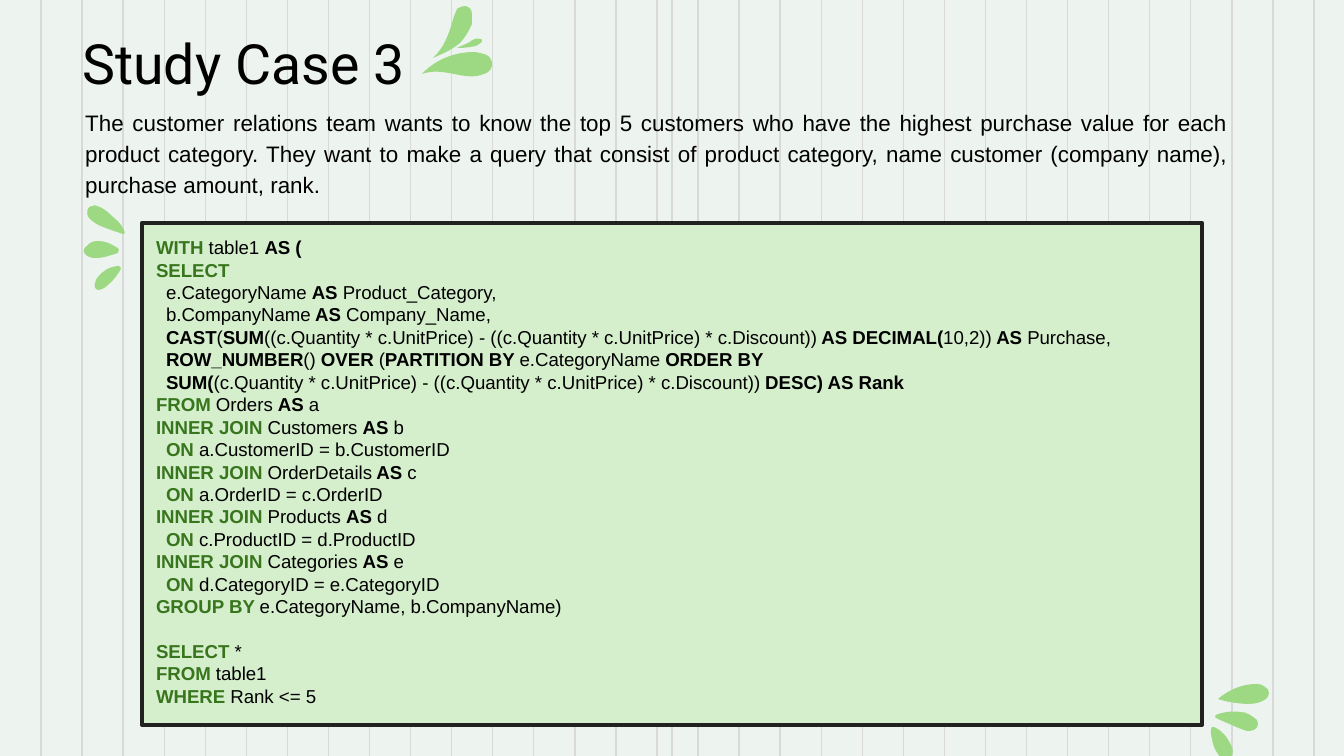
import pptx
import pptx.util
import pptx.dml.color
import pptx.enum.shapes
import pptx.enum.text
import pptx.oxml.ns
import lxml.etree

WIDTH, HEIGHT = 1344, 756
SCALE = 914400 / 134.4
LEAF, GREEN, BLACK = "9DD983", "38761D", "000000"

BRIEF = (
    "The customer relations team wants to know the top 5 customers who have "
    "the highest purchase value for each product category. They want to make "
    "a query that consist of product category, name customer (company name), "
    "purchase amount, rank."
)

# Bars enclose bold text; two leading spaces mark an indented line.
QUERY = """|WITH |table1 |AS (|
|SELECT|
  e.CategoryName |AS |Product_Category,
  b.CompanyName| AS |Company_Name,
  |CAST|(|SUM|((c.Quantity * c.UnitPrice) - ((c.Quantity * c.UnitPrice) * c.Discount))| AS DECIMAL(|10,2))| AS |Purchase,
  |ROW_NUMBER|() |OVER |(|PARTITION BY |e.CategoryName| ORDER BY|
  |SUM(|(c.Quantity * c.UnitPrice) - ((c.Quantity * c.UnitPrice) * c.Discount))| DESC) AS Rank|
|FROM |Orders |AS |a
|INNER JOIN |Customers |AS |b
  |ON |a.CustomerID = b.CustomerID
|INNER JOIN |OrderDetails| AS |c
  |ON |a.OrderID = c.OrderID
|INNER JOIN |Products |AS |d
  |ON |c.ProductID = d.ProductID
|INNER JOIN |Categories |AS |e
  |ON |d.CategoryID = e.CategoryID
|GROUP BY |e.CategoryName, b.CompanyName)"""
FINAL = """|SELECT| *
|FROM |table1
|WHERE |Rank <= 5"""
CLAUSES = {"WITH", "SELECT", "FROM", "INNER JOIN", "ON", "GROUP BY", "WHERE"}

# Each petal is a start point, then two controls and an end for each curve.
TOP = [
    [(492, 66), (493, 62), (491, 58), (487, 55), (484, 54), (478, 52), (474, 52),
     (454, 52), (435, 60), (422, 74), (444, 66), (465, 82), (484, 74),
     (488, 73), (491, 70), (492, 66)],
    [(472, 24), (472, 22), (472, 19), (472, 17), (472, 13), (472, 9), (468, 7),
     (465, 5), (460, 7), (457, 9), (456, 12), (454, 16), (453, 20),
     (449, 34), (444, 48), (433, 58), (442, 54), (452, 50), (460, 43),
     (465, 38), (469, 31), (472, 24)],
    [(482, 42), (482, 40), (482, 39), (481, 39), (476, 38), (473, 39), (470, 42),
     (466, 44), (461, 46), (457, 48), (466, 48), (470, 47), (476, 46),
     (478, 44), (481, 44), (482, 42)],
]
RIGHT = [
    [(1257, 684), (1243, 684), (1230, 689), (1218, 699), (1223, 701), (1237, 704),
     (1249, 704), (1256, 704), (1262, 702), (1266, 699), (1270, 696), (1270, 689),
     (1265, 687), (1263, 685), (1260, 684), (1257, 684)],
    [(1240, 712), (1231, 711), (1224, 712), (1216, 715), (1214, 716), (1215, 718),
     (1218, 719), (1224, 722), (1230, 724), (1236, 727), (1239, 728), (1243, 730),
     (1247, 731), (1250, 731), (1252, 731), (1254, 730), (1258, 728), (1259, 724),
     (1257, 720), (1252, 716), (1247, 712), (1240, 712)],
    [(1212, 727), (1210, 729), (1211, 735), (1212, 739), (1213, 745), (1215, 750),
     (1218, 754), (1220, 757), (1221, 759), (1223, 759), (1228, 761), (1231, 759),
     (1232, 755), (1234, 751), (1232, 747), (1230, 743), (1227, 737), (1222, 731),
     (1216, 728), (1215, 727), (1213, 727), (1212, 727)],
]
LEFT = [
    [(93, 206), (88, 205), (85, 212), (89, 218), (92, 221), (97, 225), (103, 227),
     (108, 229), (114, 231), (120, 233), (124, 235), (126, 234), (124, 230),
     (121, 224), (118, 221), (114, 218), (109, 213), (104, 208), (97, 206),
     (96, 205), (94, 205), (93, 206)],
    [(98, 241), (94, 241), (90, 242), (87, 246), (84, 247), (82, 252), (86, 255),
     (90, 258), (93, 258), (97, 258), (104, 258), (111, 255), (118, 253),
     (120, 251), (119, 248), (116, 247), (110, 243), (104, 241), (98, 241)],
    [(118, 266), (109, 267), (103, 271), (98, 277), (97, 278), (95, 281), (95, 284),
     (94, 286), (95, 290), (99, 290), (103, 289), (105, 288), (108, 285),
     (113, 281), (117, 276), (121, 269), (121, 267), (120, 266), (118, 266)],
]


def px(n):
    return round(n * SCALE)


def tint(code):
    return pptx.dml.color.RGBColor.from_string(code)


def style(run, size, face="Arial", color=BLACK, bold=False):
    font = run.font
    font.size, font.name, font.bold = pptx.util.Pt(size), face, bold
    font.color.rgb = tint(color)


def rule(slide, x):
    """Draw a full-height line and move it to the master's backdrop."""
    line = slide.shapes.add_connector(
        pptx.enum.shapes.MSO_CONNECTOR.STRAIGHT, px(x), 0, px(x), px(HEIGHT))
    line.line.color.rgb = tint("D9D9D9")
    line.line.width = pptx.util.Pt(0.75)
    lxml.etree.SubElement(line._element.spPr, pptx.oxml.ns.qn("a:effectLst"))
    master = slide.slide_layout.slide_master
    line._element.nvCxnSpPr.cNvPr.set("id", str(100 + len(master.shapes)))
    master.shapes._spTree.append(line._element)


def frame(shape):
    """Prepare a shape's text frame with wrapping and even insets."""
    text = shape.text_frame
    text.word_wrap = True
    text.vertical_anchor = pptx.enum.text.MSO_ANCHOR.TOP
    text.margin_left = text.margin_right = pptx.util.Inches(0.1)
    text.margin_top = text.margin_bottom = pptx.util.Inches(0.1)
    return text


def label(slide, box, words, size, face):
    text = frame(slide.shapes.add_textbox(*map(px, box)))
    text.text = words
    para = text.paragraphs[0]
    style(para.runs[0], size, face)
    return para


def bend(shape):
    """Turn every three line segments of an outline into one cubic curve."""
    tag = pptx.oxml.ns.qn
    lines = list(shape._element.iter(tag("a:lnTo")))
    for i in range(0, len(lines), 3):
        cubic = lxml.etree.Element(tag("a:cubicBezTo"))
        lines[i].addprevious(cubic)
        for line in lines[i:i + 3]:
            cubic.append(line[0])
            line.getparent().remove(line)


def petal(slide, nodes):
    outline = [(px(x), px(y)) for x, y in nodes]
    pen = slide.shapes.build_freeform(*outline[0])
    pen.add_line_segments(outline[1:-1], close=False)
    pen.add_line_segments(outline[-1:], close=False)
    pen.add_line_segments([], close=True)
    leaf = pen.convert_to_shape()
    bend(leaf)
    leaf.shadow.inherit = False
    leaf.fill.solid()
    leaf.fill.fore_color.rgb = tint(LEAF)
    leaf.line.fill.background()


def write(para, line):
    """Set one query line, with keywords bold and clauses green."""
    para.alignment = pptx.enum.text.PP_ALIGN.LEFT
    if line.startswith("  "):
        para._p.get_or_add_pPr().set("marL", str(px(10)))
    for i, part in enumerate(line.strip().split("|")):
        if part:
            run = para.add_run()
            run.text = part
            clause = i == 1 and part.strip() in CLAUSES
            style(run, 10, color=GREEN if clause else BLACK, bold=i % 2 == 1)


def panel(slide, box):
    rect = slide.shapes.add_shape(
        pptx.enum.shapes.MSO_SHAPE.RECTANGLE, *map(px, box))
    rect.shadow.inherit = False
    rect.fill.solid()
    rect.fill.fore_color.rgb = tint("D5EECC")
    rect.line.color.rgb = tint("212121")
    rect.line.width = pptx.util.Pt(2.25)
    text = frame(rect)
    text.margin_left, text.margin_top = px(14), px(13)
    lines, last = QUERY.split("\n"), FINAL.split("\n")
    for i, line in enumerate(lines + last):
        para = text.add_paragraph() if i else text.paragraphs[0]
        write(para, line)
        if i == len(lines):
            para.space_before = pptx.util.Pt(12)


def main():
    deck = pptx.Presentation()
    deck.slide_width, deck.slide_height = px(WIDTH), px(HEIGHT)
    slide = deck.slides.add_slide(deck.slide_layouts[6])
    slide.background.fill.solid()
    slide.background.fill.fore_color.rgb = tint("EDF3EF")
    for i in range(1, 33):
        rule(slide, 1314 * i / 32)
    rule(slide, WIDTH / 2)
    label(slide, (69, 16, 396, 85), "Study Case 3", 29.7, "Roboto")
    brief = label(slide, (72, 92, 1170, 218), BRIEF, 12, "Arial")
    brief.alignment = pptx.enum.text.PP_ALIGN.JUSTIFY
    brief.line_spacing = 1.15
    for nodes in TOP + RIGHT:
        petal(slide, nodes)
    panel(slide, (142, 223, 1060, 502))
    for nodes in LEFT:
        petal(slide, nodes)
    deck.save("out.pptx")


if __name__ == "__main__":
    main()
